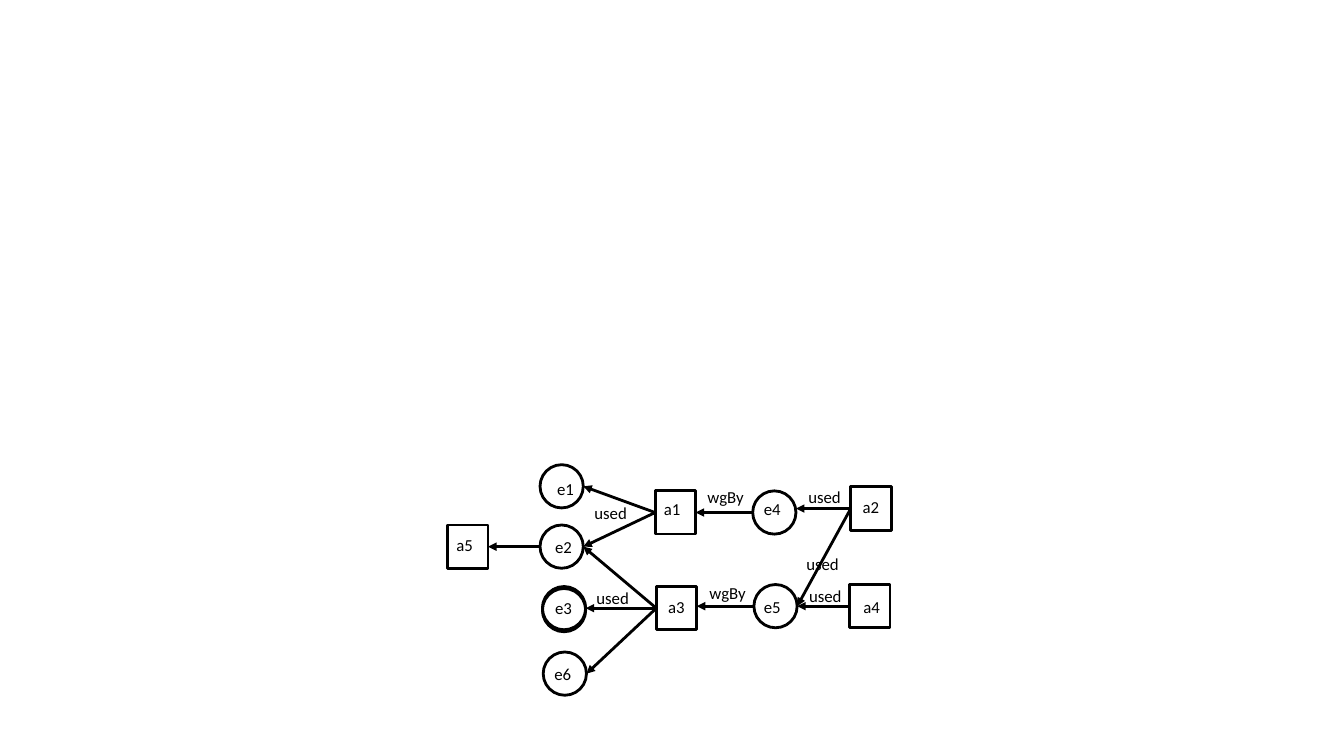
from dataclasses import dataclass

from lxml.etree import SubElement
from pptx import Presentation
from pptx.dml.color import RGBColor
from pptx.enum.shapes import MSO_CONNECTOR as Connector, MSO_SHAPE as Preset
from pptx.enum.text import MSO_AUTO_SIZE as AutoSize
from pptx.oxml.ns import qn
from pptx.shapes.autoshape import Shape
from pptx.shapes.shapetree import SlideShapes
from pptx.util import Cm, Pt

BLACK = RGBColor(0, 0, 0)
LINE_WIDTH = Pt(2)
NODE_HEIGHT = 1.09
LABEL_HEIGHT = 0.76


@dataclass(frozen=True)
class Kind:
    preset: Preset
    width: float


@dataclass(frozen=True)
class Label:
    text: str
    left: float
    top: float
    width: float


@dataclass(frozen=True)
class Node:
    name: str
    kind: Kind
    left: float
    top: float
    label_left: float
    label_top: float


@dataclass(frozen=True)
class Edge:
    source: str
    target: str


ENTITY = Kind(Preset.OVAL, 1.09)
ACTIVITY = Kind(Preset.RECTANGLE, 1.02)

NODES = [
    Node("e1", ENTITY, 13.61, 11.71, 13.79, 11.94),
    Node("e2", ENTITY, 13.61, 13.23, 13.74, 13.41),
    Node("e3", ENTITY, 13.67, 14.78, 13.74, 14.94),
    Node("e4", ENTITY, 18.97, 12.37, 19.0, 12.45),
    Node("e5", ENTITY, 19.0, 14.73, 19.0, 14.91),
    Node("e6", ENTITY, 13.69, 16.43, 13.72, 16.61),
    Node("a1", ACTIVITY, 16.51, 12.37, 16.48, 12.45),
    Node("a2", ACTIVITY, 21.44, 12.27, 21.49, 12.4),
    Node("a3", ACTIVITY, 16.54, 14.78, 16.59, 14.91),
    Node("a4", ACTIVITY, 21.41, 14.73, 21.51, 14.91),
    Node("a5", ACTIVITY, 11.28, 13.23, 11.25, 13.34),
]

SLOPING_EDGES = [
    Edge("a1", "e1"), Edge("a1", "e2"),
    Edge("a3", "e2"), Edge("a3", "e6"), Edge("a2", "e5"),
]
LEVEL_EDGES = [
    Edge("a3", "e3"), Edge("e4", "a1"), Edge("e5", "a3"),
    Edge("a2", "e4"), Edge("a4", "e5"), Edge("e2", "a5"),
]

USED_WIDTH = 1.35
WGBY_WIDTH = 1.42
EDGE_LABELS = [
    Label("used", 14.73, 12.55, USED_WIDTH),
    Label("used", 14.78, 14.68, USED_WIDTH),
    Label("used", 20.12, 12.14, USED_WIDTH),
    Label("used", 20.14, 14.63, USED_WIDTH),
    Label("used", 20.07, 13.84, USED_WIDTH),
    Label("wgBy", 17.58, 12.14, WGBY_WIDTH),
    Label("wgBy", 17.63, 14.55, WGBY_WIDTH),
]


def draw_outline(shapes: SlideShapes, kind: Kind, left: float, top: float) -> Shape:
    shape = shapes.add_shape(
        kind.preset, Cm(left), Cm(top), Cm(kind.width), Cm(NODE_HEIGHT))
    shape.shadow.inherit = False
    shape.fill.background()
    shape.line.color.rgb = BLACK
    shape.line.width = LINE_WIDTH
    return shape


def draw_label(shapes: SlideShapes, label: Label) -> None:
    box = shapes.add_textbox(
        Cm(label.left), Cm(label.top), Cm(label.width), Cm(LABEL_HEIGHT))
    frame = box.text_frame
    frame.word_wrap = False
    frame.auto_size = AutoSize.SHAPE_TO_FIT_TEXT
    para = frame.paragraphs[0]
    para.text = label.text
    para.font.name = "Calibri"
    para.font.size = Pt(12)
    para.font.color.rgb = BLACK


def draw_edge(shapes: SlideShapes, source: Shape, target: Shape, level: bool) -> None:
    start_y = source.top + source.height // 2
    end_y = start_y if level else target.top + target.height // 2
    arrow = shapes.add_connector(
        Connector.STRAIGHT, source.left, start_y, target.left + target.width, end_y)
    arrow.line.color.rgb = BLACK
    arrow.line.width = LINE_WIDTH
    line = arrow._element.spPr.find(qn("a:ln"))
    SubElement(line, qn("a:tailEnd"), type="triangle")
    SubElement(arrow._element.spPr, qn("a:effectLst"))


deck = Presentation()
deck.slide_width = Cm(33.87)
deck.slide_height = Cm(19.05)
page = deck.slides.add_slide(deck.slide_layouts[6])

outlines = {
    node.name: draw_outline(page.shapes, node.kind, node.left, node.top)
    for node in NODES
}
for edges, level in ((SLOPING_EDGES, False), (LEVEL_EDGES, True)):
    for edge in edges:
        draw_edge(page.shapes, outlines[edge.source], outlines[edge.target], level)
node_labels = [
    Label(node.name, node.label_left, node.label_top, 0.94) for node in NODES
]
for label in node_labels + EDGE_LABELS:
    draw_label(page.shapes, label)
draw_outline(page.shapes, ENTITY, 13.67, 14.83)

deck.save("out.pptx")
